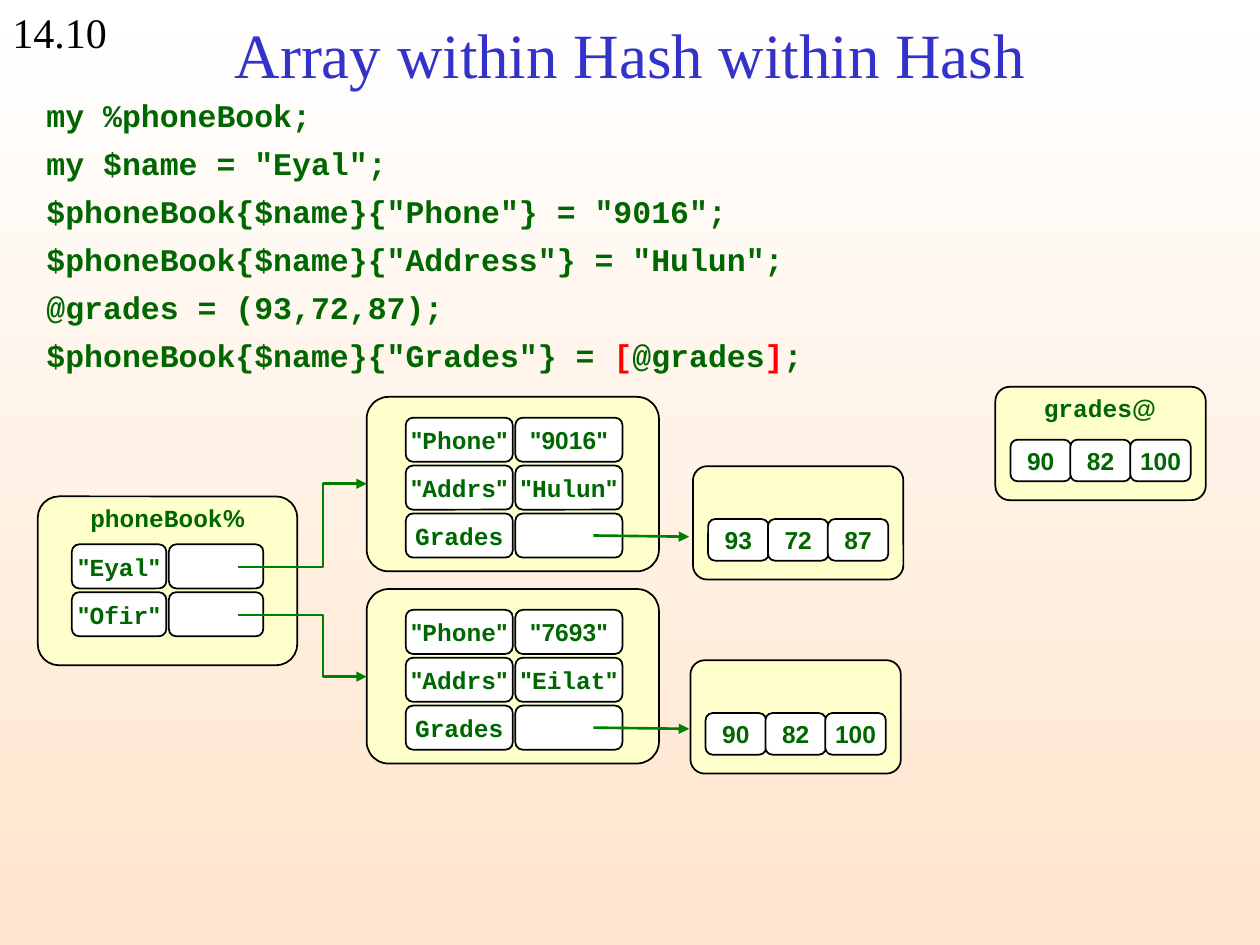
from dataclasses import dataclass

from lxml import etree
from pptx import Presentation
from pptx import util as u
from pptx.dml.color import RGBColor
from pptx.enum import shapes, text
from pptx.oxml import ns

COLUMNS, ROWS = 100, 75
WIDTH, HEIGHT = u.Inches(10), u.Inches(7.5)


@dataclass(frozen=True)
class Theme:
    serif: str = "Times New Roman"
    mono: str = "Courier New"
    digits: str = "Arial"
    title: str = "3333CC"
    ink: str = "000000"
    code: str = "006600"
    accent: str = "FF0101"
    arrow: str = "008000"
    panel: str = "FFFFCC"
    cell: str = "FFFFFF"
    background: tuple = ("FFFFFF", "FFE5CD")
    title_size: int = 36
    number_size: int = 24
    code_size: int = 18
    label_size: int = 14


THEME = Theme()
CODE = [
    ["my %phoneBook;"],
    ['my $name = "Eyal";'],
    ['$phoneBook{$name}{"Phone"} = "9016";'],
    ['$phoneBook{$name}{"Address"} = "Hulun";'],
    ["@grades = (93,72,87);"],
    ['$phoneBook{$name}{"Grades"} = ', "[", "@grades", "]", ";"],
]


def grid(*lengths):
    """Turn alternating column and row counts into slide lengths."""
    units = (WIDTH / COLUMNS, HEIGHT / ROWS)
    return [u.Emu(round(n * units[i % 2])) for i, n in enumerate(lengths)]


def rgb(colour):
    return RGBColor.from_string(colour)


def style(paragraph, font, size, colour, bold=False):
    paragraph.font.name = font
    paragraph.font.size = u.Pt(size)
    paragraph.font.bold = bold
    paragraph.font.color.rgb = rgb(colour)


def write_label(frame, words):
    """Write a centred right-to-left label."""
    paragraph = frame.paragraphs[0]
    paragraph.alignment = text.PP_ALIGN.CENTER
    paragraph._p.get_or_add_pPr().set("rtl", "1")
    run = paragraph.add_run()
    run.text = words
    style(run, THEME.mono, THEME.label_size, THEME.code, True)
    complex_script = etree.SubElement(run.font._element, ns.qn("a:cs"))
    complex_script.set("typeface", THEME.digits)


def add_text_box(parent, *box):
    frame = parent.add_textbox(*grid(*box)).text_frame
    frame.word_wrap = True
    return frame


def add_line_of_text(parent, box, words, size, colour, alignment):
    frame = add_text_box(parent, *box)
    frame.vertical_anchor = text.MSO_ANCHOR.MIDDLE
    paragraph = frame.paragraphs[0]
    paragraph.text = words
    paragraph.alignment = alignment
    style(paragraph, THEME.serif, size, colour)


def add_code(parent, *box):
    frame = add_text_box(parent, *box)
    for index, pieces in enumerate(CODE):
        paragraph = frame.add_paragraph() if index else frame.paragraphs[0]
        paragraph.line_spacing = 1.27
        for piece in pieces:
            run = paragraph.add_run()
            run.text = piece
            if piece in ("[", "]"):
                run.font.color.rgb = rgb(THEME.accent)
        style(paragraph, THEME.mono, THEME.code_size, THEME.code, True)
        for run in paragraph.runs:
            if run.text not in ("[", "]"):
                style(run, THEME.mono, THEME.code_size, THEME.code, True)
            else:
                style(run, THEME.mono, THEME.code_size, THEME.accent, True)


def add_rounded_box(parent, box, fill, rounding):
    shape = parent.add_shape(shapes.MSO_SHAPE.ROUNDED_RECTANGLE, *grid(*box))
    shape.adjustments[0] = rounding
    shape.shadow.inherit = False
    shape.fill.solid()
    shape.fill.fore_color.rgb = rgb(fill)
    shape.line.color.rgb = rgb(THEME.ink)
    shape.line.width = u.Pt(1)
    return shape


def add_panel(parent, *box):
    add_rounded_box(parent, box, THEME.panel, 0.126)


def add_cell(parent, words, *box):
    frame = add_rounded_box(parent, box, THEME.cell, 0.167).text_frame
    frame.word_wrap = False
    frame.vertical_anchor = text.MSO_ANCHOR.MIDDLE
    if words:
        write_label(frame, words)


def add_pairs(parent, left, top, width, pairs):
    """Stack key and value cells; an empty value holds a reference."""
    for row, pair in enumerate(pairs):
        for column in (1, 0):
            add_cell(parent, pair[column], left + column * (width + 0.2),
                     top + 3.8 * row, width, 3.5)


def add_array(slide, left, top, values, name=None):
    group = slide.shapes.add_group_shape().shapes
    add_panel(group, left, top, 16.7, 9)
    if name:
        write_label(add_text_box(group, left - 3.2, top, 23, 3.4), name)
    for index, value in enumerate(values):
        add_cell(group, value, left + 1.2 + 4.75 * index, top + 4.2, 4.8, 3.3)


def add_arrow(parent, start, end, bend=None):
    """Draw an arrow, with an elbow at the given share of its width."""
    kind = shapes.MSO_CONNECTOR.ELBOW if bend else shapes.MSO_CONNECTOR.STRAIGHT
    arrow = parent.add_connector(kind, *grid(*start, *end))
    arrow.line.color.rgb = rgb(THEME.arrow)
    arrow.line.width = u.Pt(1.5)
    properties = arrow._element.spPr
    if bend:
        guides = properties.find(ns.qn("a:prstGeom")).get_or_add_avLst()
        guide = etree.SubElement(guides, ns.qn("a:gd"))
        guide.set("name", "adj1")
        guide.set("fmla", f"val {round(bend * 100000)}")
    head = etree.SubElement(arrow.line._get_or_add_ln(), ns.qn("a:tailEnd"))
    head.set("type", "triangle")
    etree.SubElement(properties, ns.qn("a:effectLst"))


def add_record(slide, top, phone, address):
    pairs = [('"Phone"', phone), ('"Addrs"', address), ("Grades", "")]
    add_panel(slide.shapes, 29.1, top, 23.2, 13.85)
    add_pairs(slide.shapes, 32.2, top + 1.65, 8.5, pairs)
    add_arrow(slide.shapes, (47.1, top + 11), (54.7, top + 11.1))


def add_phone_book(slide):
    add_panel(slide.shapes, 3, 39.4, 20.6, 13.4)
    write_label(add_text_box(slide.shapes, 1.8, 39.4, 23, 3.4), "%phoneBook")
    add_pairs(slide.shapes, 5.7, 43.2, 7.5, [('"Eyal"', ""), ('"Ofir"', "")])


def paint_background(slide):
    fill = slide.background.fill
    fill.gradient()
    fill.gradient_angle = 270
    for stop, colour in zip(fill.gradient_stops, THEME.background):
        stop.color.rgb = rgb(colour)


def main():
    presentation = Presentation()
    presentation.slide_width, presentation.slide_height = WIDTH, HEIGHT
    slide = presentation.slides.add_slide(presentation.slide_layouts[6])
    paint_background(slide)
    add_line_of_text(slide.shapes, (0, 0, 11.4, 5), "14.10",
                     THEME.number_size, THEME.ink, text.PP_ALIGN.LEFT)
    add_code(slide.shapes, 2.7, 6.3, 96.9, 41)
    add_line_of_text(slide.shapes, (7.5, 0.9, 85, 6.7),
                     "Array within Hash within Hash",
                     THEME.title_size, THEME.title, text.PP_ALIGN.CENTER)
    add_phone_book(slide)
    add_record(slide, 31.5, '"9016"', '"Hulun"')
    add_record(slide, 46.75, '"7693"', '"Eilat"')
    add_arrow(slide.shapes, (18.9, 45), (29.1, 38.4), 0.66)
    add_arrow(slide.shapes, (18.9, 48.8), (29.1, 53.7), 0.66)
    add_array(slide, 55, 37, ["93", "72", "87"])
    add_array(slide, 54.8, 52.4, ["90", "82", "100"])
    add_array(slide, 79, 30.7, ["90", "82", "100"], "@grades")
    presentation.save("out.pptx")


if __name__ == "__main__":
    main()
